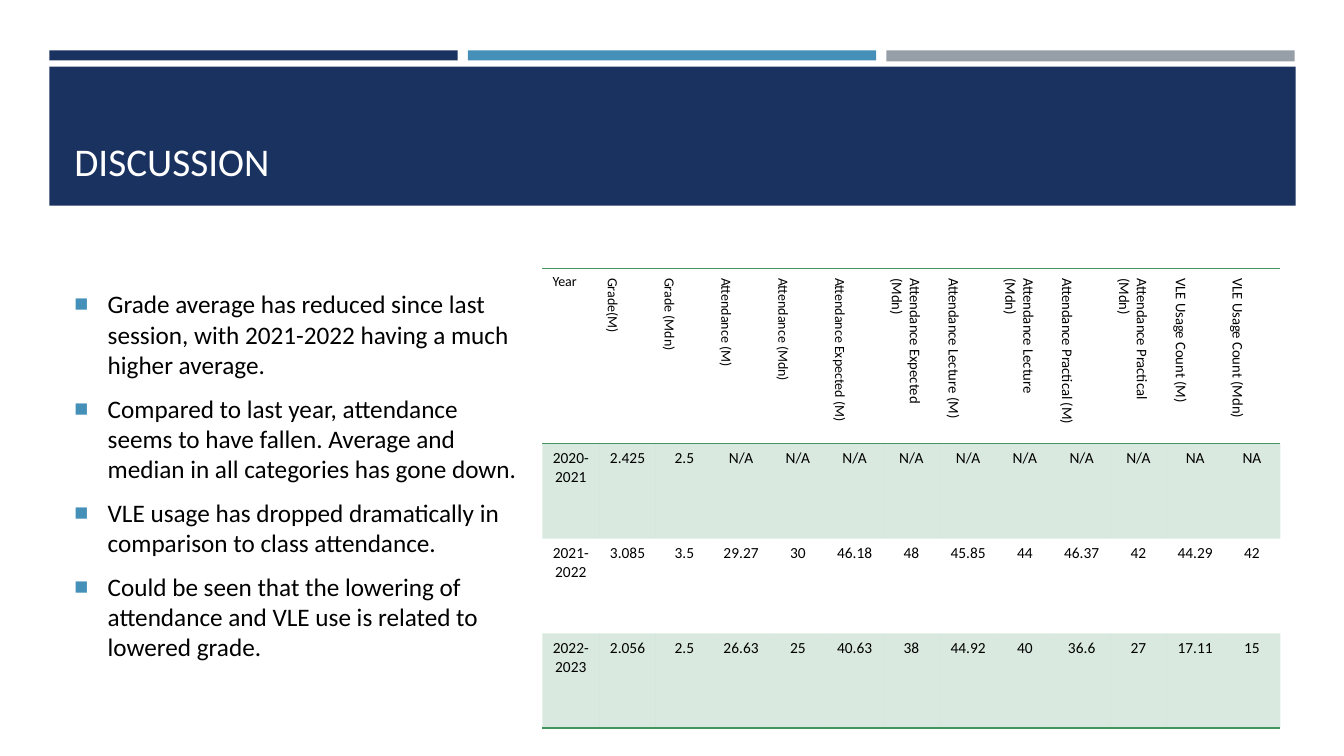
from lxml import etree
from pptx import Presentation
from pptx.dml.color import RGBColor
from pptx.enum.shapes import MSO_SHAPE as Shape
from pptx.enum.text import MSO_ANCHOR as Anchor, PP_ALIGN as Align
from pptx.oxml.ns import qn
from pptx.util import Inches, Pt

COLORS = {"navy": "1A3260", "blue": "4590B8", "gray": "969FA7",
          "green": "42955F", "white": "FFFFFF", "black": "000000"}
PLAIN_TABLE = "{2D5ABB26-0587-4C30-8999-92F81FD0307C}"


def add_span(para, text, size, color):
    span = para.add_run()
    span.text = text
    span.font.name = "Calibri"
    span.font.size = Pt(size)
    span.font.color.rgb = RGBColor.from_string(COLORS[color])


def add_node(parent, tag, **attributes):
    return etree.SubElement(parent, qn(tag), attributes)


deck = Presentation()
deck.slide_width = Inches(13.33)
deck.slide_height = Inches(7.5)
page = deck.slides.add_slide(deck.slide_layouts[6])

bands = [(0.49, 0.5, 4.05, 0.1, "navy"), (4.64, 0.5, 4.05, 0.1, "blue"),
         (8.79, 0.5, 4.05, 0.11, "gray"), (0.49, 0.66, 12.36, 1.38, "navy")]
for left, top, width, height, color in bands:
    band = page.shapes.add_shape(Shape.RECTANGLE, Inches(left), Inches(top),
                                 Inches(width), Inches(height))
    band.shadow.inherit = False
    band.fill.solid()
    band.fill.fore_color.rgb = RGBColor.from_string(COLORS[color])
    band.line.fill.background()

title = page.shapes.add_textbox(Inches(0.64), Inches(0.8), Inches(12.06), Inches(1.08))
title.text_frame.word_wrap = True
title.text_frame.vertical_anchor = Anchor.BOTTOM
add_span(title.text_frame.paragraphs[0], "DISCUSSION", 28, "white")

findings = [
    "Grade average has reduced since last session, with 2021-2022 having a much higher average.",
    "Compared to last year, attendance seems to have fallen. Average and median in all categories has gone down.",
    "VLE usage has dropped dramatically in comparison to class attendance.",
    "Could be seen that the lowering of attendance and VLE use is related to lowered grade.",
]
body = page.shapes.add_textbox(Inches(0.64), Inches(2.44), Inches(4.67), Inches(4.55))
body.text_frame.word_wrap = True
body.text_frame.vertical_anchor = Anchor.MIDDLE
for index, finding in enumerate(findings):
    para = body.text_frame.add_paragraph() if index else body.text_frame.paragraphs[0]
    para.space_before = Pt(3.6)
    para.space_after = Pt(6)
    settings = para._p.get_or_add_pPr()
    settings.set("marL", str(Inches(0.33)))
    settings.set("indent", str(-Inches(0.33)))
    add_node(add_node(settings, "a:buClr"), "a:srgbClr", val=COLORS["blue"])
    add_node(settings, "a:buSzPct", val="92000")
    add_node(settings, "a:buFont", typeface="Arial")
    add_node(settings, "a:buChar", char="■")
    add_span(para, finding, 18, "black")

rows = [
    ["Year", "Grade(M)", "Grade (Mdn)", "Attendance (M)", "Attendance (Mdn)",
     "Attendance Expected (M)", "Attendance Expected (Mdn)",
     "Attendance Lecture (M)", "Attendance Lecture (Mdn)",
     "Attendance Practical (M)", "Attendance Practical (Mdn)",
     "VLE Usage Count (M)", "VLE Usage Count (Mdn)"],
    ["2020-2021", "2.425", "2.5"] + ["N/A"] * 8 + ["NA"] * 2,
    ["2021-2022", "3.085", "3.5", "29.27", "30", "46.18", "48",
     "45.85", "44", "46.37", "42", "44.29", "42"],
    ["2022-2023", "2.056", "2.5", "26.63", "25", "40.63", "38",
     "44.92", "40", "36.6", "27", "17.11", "15"],
]
row_heights = [1.74, 0.94, 0.94, 0.94]
row_borders = [["a:lnT", "a:lnB"], [], [], ["a:lnB"]]
table = page.shapes.add_table(len(rows), len(rows[0]), Inches(5.38), Inches(2.66),
                              Inches(7.32), Inches(sum(row_heights))).table
table.first_row = False
table.horz_banding = False
table._tbl.tblPr.find(qn("a:tableStyleId")).text = PLAIN_TABLE

for r, values in enumerate(rows):
    table.rows[r].height = Inches(row_heights[r])
    for c, value in enumerate(values):
        cell = table.cell(r, c)
        para = cell.text_frame.paragraphs[0]
        settings = cell._tc.get_or_add_tcPr()
        for side in row_borders[r]:
            border = add_node(settings, side, w=str(Pt(1)))
            add_node(add_node(border, "a:solidFill"), "a:srgbClr", val=COLORS["green"])
        if r % 2:
            cell.fill.solid()
            cell.fill.fore_color.rgb = RGBColor.from_string(COLORS["green"])
            tint = settings.find(qn("a:solidFill")).find(qn("a:srgbClr"))
            add_node(tint, "a:alpha", val="20000")
        else:
            cell.fill.background()
        if r:
            para.alignment = Align.CENTER
            size = 11
        else:
            size = 10 if c < 6 else 10.5
            if c:
                settings.set("vert", "vert")
        add_span(para, value, size, "black")

deck.save("out.pptx")
